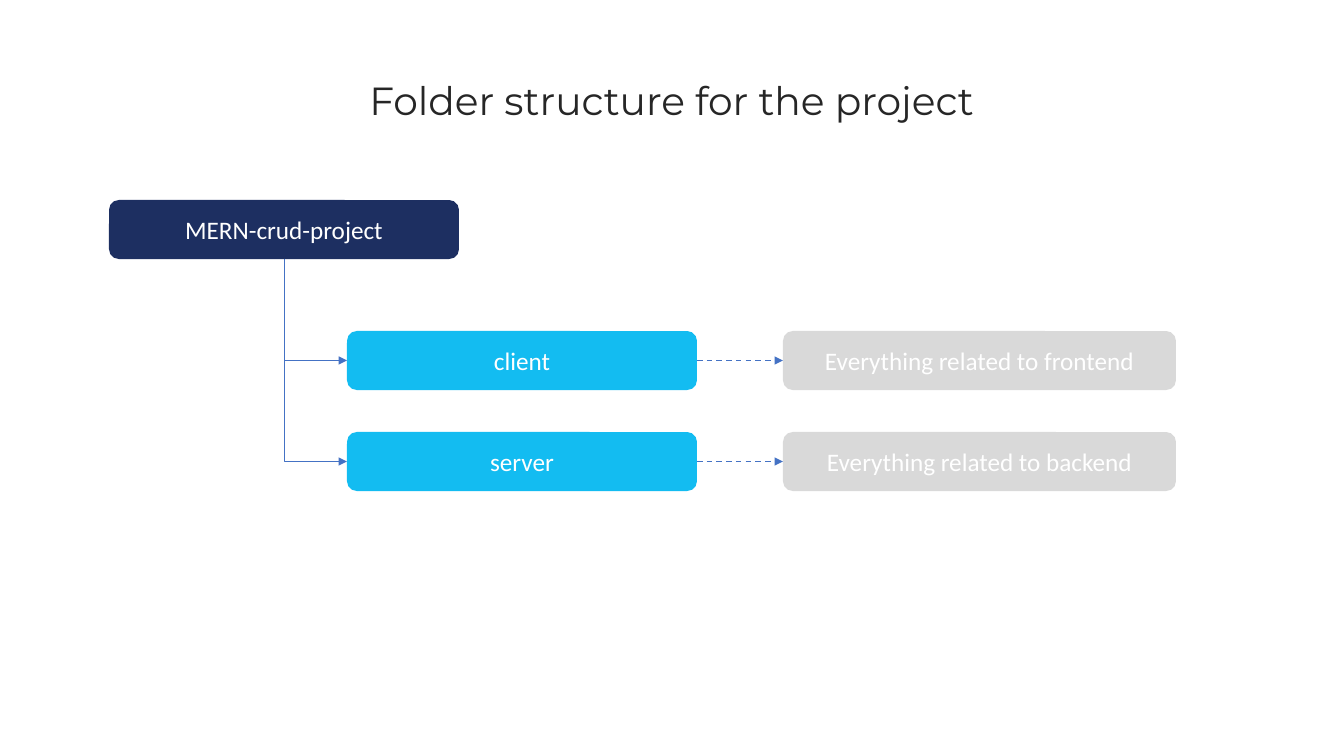
from lxml.etree import SubElement
from pptx import Presentation
from pptx.dml.color import RGBColor
from pptx.enum.dml import MSO_LINE
from pptx.enum.shapes import MSO_CONNECTOR as CONNECTOR, MSO_SHAPE as SHAPE
from pptx.enum.text import MSO_ANCHOR as ANCHOR, MSO_AUTO_SIZE as AUTO_SIZE, PP_ALIGN as ALIGN
from pptx.oxml.ns import qn
from pptx.util import Pt

PX = 914400 / 100.8
COLORS = {
    "root": "1D2F61",
    "folder": "13BCF1",
    "note": "D9D9D9",
    "label": "FFFFFF",
    "arrow": "4472C4",
    "title": "262626",
}
BOX_HEIGHT = 59
FOLDER_WIDTH = 350
FOLDER_TOP, FOLDER_STEP = 331, 101
BOTTOM_SITE, LEFT_SITE, RIGHT_SITE = 2, 1, 3
FOLDERS = [
    ("client", "Everything related to frontend"),
    ("server", "Everything related to backend"),
]


def px(length):
    return round(length * PX)


def color(name):
    return RGBColor.from_string(COLORS[name])


def style_text(paragraph, font_name, size, color_name):
    paragraph.alignment = ALIGN.CENTER
    paragraph.font.name = font_name
    paragraph.font.size = Pt(size)
    paragraph.font.color.rgb = color(color_name)


def add_title(slide, text):
    title = slide.shapes.title
    title.left, title.top, title.width, title.height = map(px, (234, 71, 875, 57))
    frame = title.text_frame
    frame.text = text
    frame.word_wrap = True
    frame.auto_size = AUTO_SIZE.SHAPE_TO_FIT_TEXT
    frame.vertical_anchor = ANCHOR.TOP
    style_text(frame.paragraphs[0], "Montserrat", 28, "title")


def add_box(slide, text, left, top, width, fill):
    box = slide.shapes.add_shape(
        SHAPE.ROUNDED_RECTANGLE, px(left), px(top), px(width), px(BOX_HEIGHT))
    box.shadow.inherit = False
    box.fill.solid()
    box.fill.fore_color.rgb = color(fill)
    box.line.fill.background()
    frame = box.text_frame
    frame.text = text
    frame.word_wrap = True
    frame.vertical_anchor = ANCHOR.MIDDLE
    style_text(frame.paragraphs[0], "Calibri", 18, "label")
    return box


def add_arrow(slide, kind, source, source_site, target, width):
    arrow = slide.shapes.add_connector(kind, 0, 0, 0, 0)
    arrow.begin_connect(source, source_site)
    arrow.end_connect(target, LEFT_SITE)
    arrow.line.color.rgb = color("arrow")
    arrow.line.width = Pt(width)
    SubElement(arrow.line._get_or_add_ln(), qn("a:tailEnd"), type="triangle")
    SubElement(arrow._element.spPr, qn("a:effectLst"))
    return arrow


def add_branch(slide, root, folder):
    """Arrow that runs down from the root, then right into the folder."""
    branch = add_arrow(slide, CONNECTOR.ELBOW, root, BOTTOM_SITE, folder, 0.5)
    across, down = branch.width, branch.height
    # A single bend that starts downwards is a flipped quarter turn
    branch.left += (across - down) // 2
    branch.top += (down - across) // 2
    branch.width, branch.height = down, across
    properties = branch._element.spPr
    properties.find(qn("a:prstGeom")).set("prst", "bentConnector2")
    frame = properties.find(qn("a:xfrm"))
    frame.set("rot", "16200000")
    frame.set("flipH", "1")


def add_note_arrow(slide, folder, note):
    arrow = add_arrow(slide, CONNECTOR.STRAIGHT, folder, RIGHT_SITE, note, 1)
    arrow.line.dash_style = MSO_LINE.DASH


def main():
    deck = Presentation()
    deck.slide_width, deck.slide_height = px(1344), px(756)
    slide = deck.slides.add_slide(deck.slide_layouts[5])
    add_title(slide, "Folder structure for the project")

    # Project root
    root = add_box(slide, "MERN-crud-project", 109, 200, FOLDER_WIDTH, "root")

    # Folders, each with its explanation
    for row, (name, purpose) in enumerate(FOLDERS):
        top = FOLDER_TOP + row * FOLDER_STEP
        folder = add_box(slide, name, 347, top, FOLDER_WIDTH, "folder")
        note = add_box(slide, purpose, 783, top, 393, "note")
        add_branch(slide, root, folder)
        add_note_arrow(slide, folder, note)

    deck.save("out.pptx")


if __name__ == "__main__":
    main()
